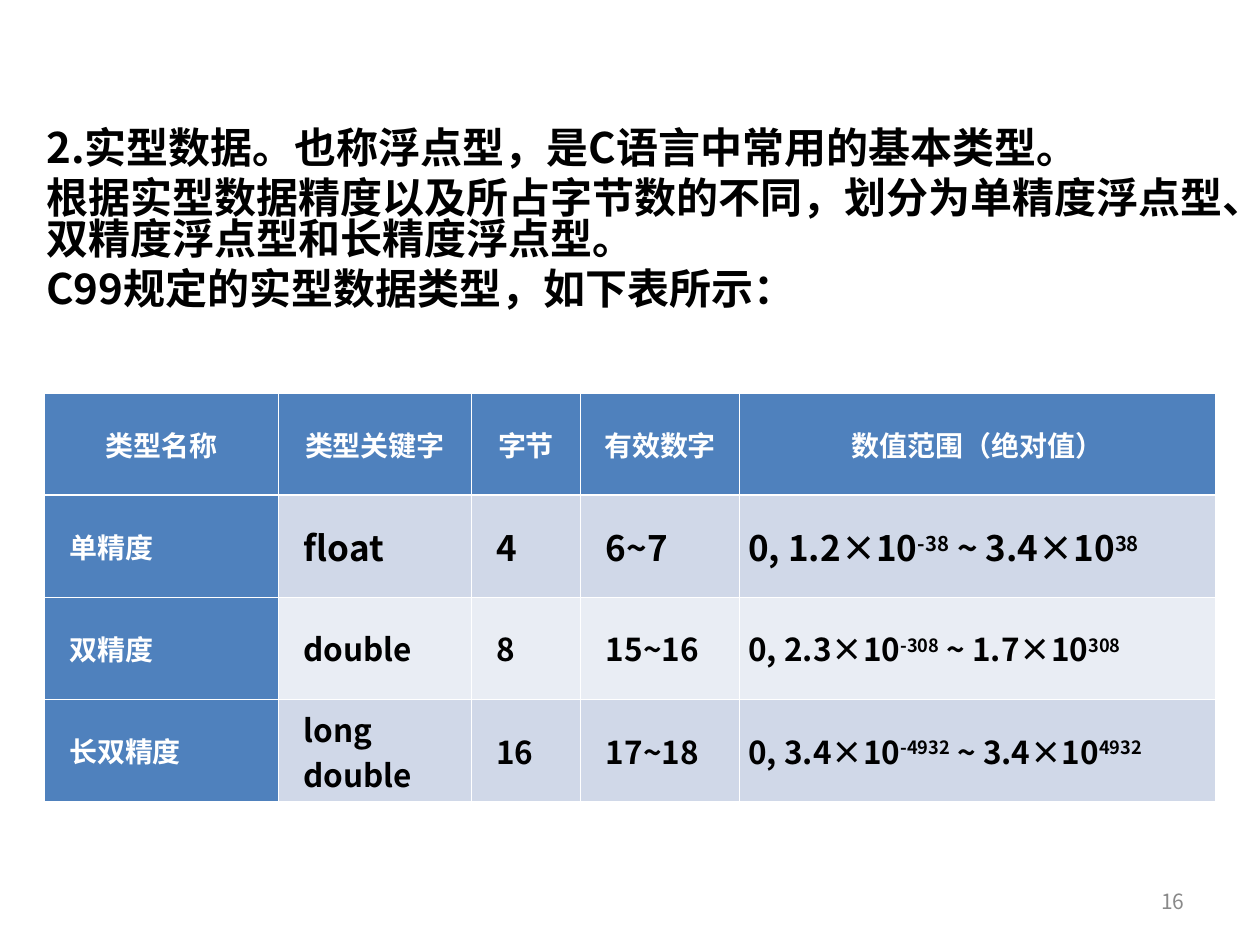
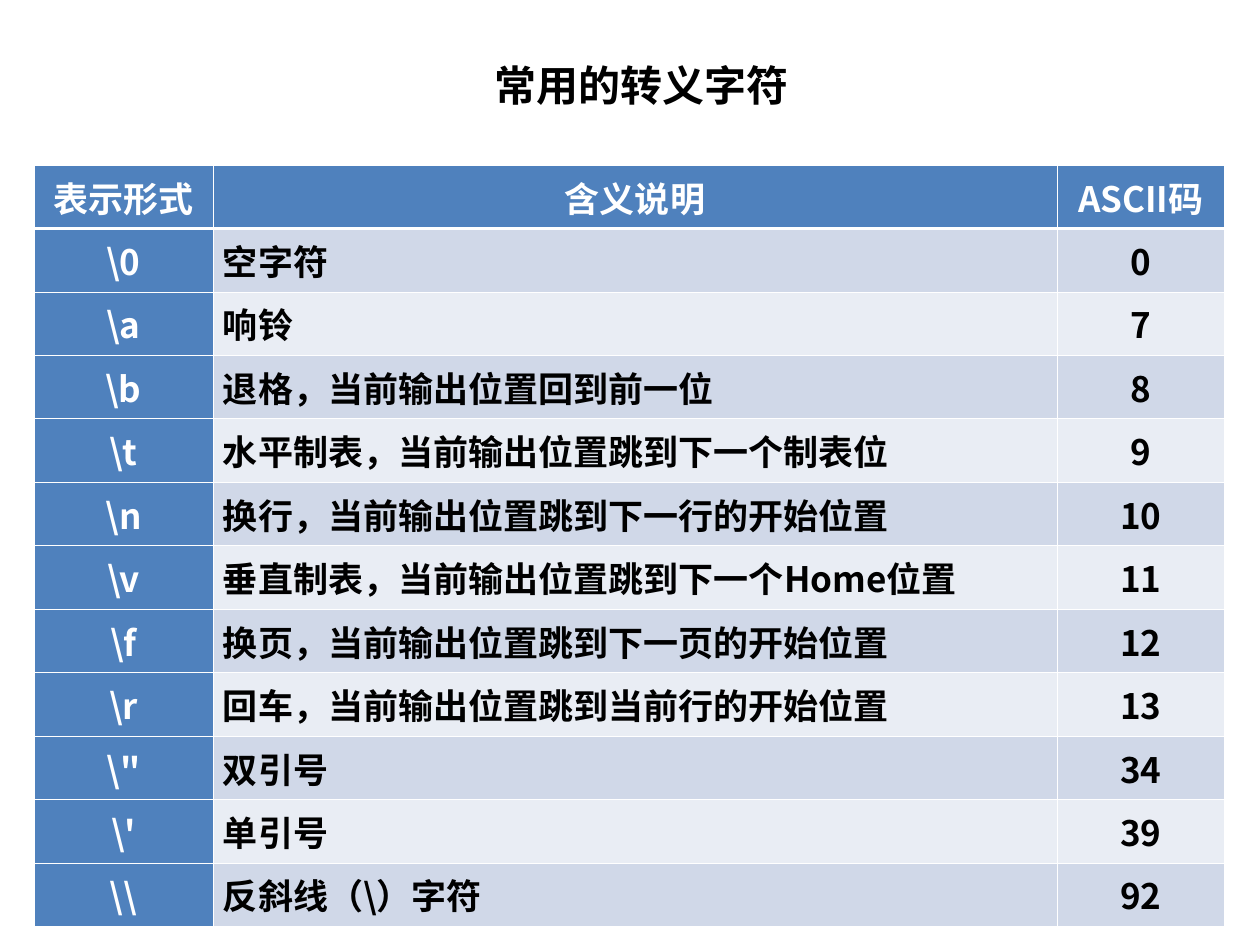
from lxml.etree import SubElement
from pptx import Presentation
from pptx.dml.color import RGBColor
from pptx.enum.text import MSO_ANCHOR as Anchor, MSO_AUTO_SIZE as AutoSize, PP_ALIGN as Align
from pptx.oxml.ns import qn
from pptx.util import Inches, Pt

# Shared look
FONT, NUMBER_FONT = "Noto Sans CJK SC", "Noto Sans CJK JP"
BLACK, WHITE, GREY = "000000", "FFFFFF", "898989"
HEADER, BANDS = "4F81BD", ("D0D8E8", "E9EDF4")
THIN, THICK = Pt(0.45), Pt(1.47)


def rgb(code):
    return RGBColor.from_string(code)


def write(para, text, size=24, color=BLACK, bold=True, font=FONT, align=Align.LEFT):
    """Fill a paragraph; every second part between ^ marks is superscript."""
    para.alignment = align
    for index, part in enumerate(text.split("^")):
        span = para.add_run()
        span.text = part
        span.font.size, span.font.bold, span.font.name = Pt(size), bold, font
        span.font.color.rgb = rgb(color)
        properties = span._r.get_or_add_rPr()
        SubElement(properties, qn("a:ea")).set("typeface", font)
        if index % 2:
            properties.set("baseline", "30000")


deck = Presentation()
deck.slide_width, deck.slide_height = Inches(10), Inches(7.5)
types_page = deck.slides.add_slide(deck.slide_layouts[6])
escapes_page = deck.slides.add_slide(deck.slide_layouts[5])

# Introduction to floating-point data
intro = types_page.shapes.add_textbox(Inches(0.27), Inches(0.99), Inches(9.73), Inches(1.97))
frame = intro.text_frame
frame.word_wrap = True
frame.auto_size = AutoSize.TEXT_TO_FIT_SHAPE
sentences = [
    "2.实型数据。也称浮点型，是C语言中常用的基本类型。",
    "根据实型数据精度以及所占字节数的不同，划分为单精度浮点型、双精度浮点型和长精度浮点型。",
    "C99规定的实型数据类型，如下表所示：",
]
for index, sentence in enumerate(sentences):
    para = frame.add_paragraph() if index else frame.paragraphs[0]
    para.line_spacing = 0.9
    para.space_before = Pt(6 if index else 0)
    write(para, sentence)

# Page number
number = types_page.shapes.add_textbox(Inches(7.17), Inches(6.95), Inches(2.33), Inches(0.4))
number.text_frame.word_wrap = True
number.text_frame.vertical_anchor = Anchor.MIDDLE
write(number.text_frame.paragraphs[0], "16", size=12, color=GREY, bold=False,
      font=NUMBER_FONT, align=Align.RIGHT)

# Title of the escape characters
title = escapes_page.shapes.title
title.left, title.top, title.width, title.height = Inches(0.59), Inches(0.36), Inches(9), Inches(0.63)
title.text_frame.vertical_anchor = Anchor.MIDDLE
write(title.text_frame.paragraphs[0], "常用的转义字符", align=Align.CENTER)

# Table contents
type_rows = [
    ("类型名称", "类型关键字", "字节", "有效数字", "数值范围（绝对值）"),
    ("单精度", "float", "4", "6~7", "0, 1.2×10^-38^ ~ 3.4×10^38"),
    ("双精度", "double", "8", "15~16", "0, 2.3×10^-308^ ~ 1.7×10^308"),
    ("长双精度", "long double", "16", "17~18", "0, 3.4×10^-4932^ ~ 3.4×10^4932"),
]
escape_rows = [
    ("表示形式", "含义说明", "ASCII码"),
    ("\\0", "空字符", "0"),
    ("\\a", "响铃", "7"),
    ("\\b", "退格，当前输出位置回到前一位", "8"),
    ("\\t", "水平制表，当前输出位置跳到下一个制表位", "9"),
    ("\\n", "换行，当前输出位置跳到下一行的开始位置", "10"),
    ("\\v", "垂直制表，当前输出位置跳到下一个Home位置", "11"),
    ("\\f", "换页，当前输出位置跳到下一页的开始位置", "12"),
    ("\\r", "回车，当前输出位置跳到当前行的开始位置", "13"),
    ("\\\"", "双引号", "34"),
    ("\\'", "单引号", "39"),
    ("\\\\", "反斜线（\\）字符", "92"),
]
left, center, justify = Align.LEFT, Align.CENTER, Align.JUSTIFY
tables = [
    dict(page=types_page, rows=type_rows, at=(0.35, 3.12), widths=(1.86, 1.53, 0.87, 1.26, 3.78),
         height=0.81, anchor=Anchor.MIDDLE, margin=0.07, indents=(0.2, 0.2, 0.2, 0.2, 0.07),
         aligns=[left] * 5, label_size=16, sizes=(20, 18, 18)),
    dict(page=escapes_page, rows=escape_rows, at=(0.27, 1.31), widths=(1.42, 6.7, 1.33),
         height=0.39, anchor=Anchor.TOP, margin=0.08, indents=[0.08] * 3,
         aligns=(center, justify, center), label_size=20, sizes=[20] * 11),
]

# Both tables: blue header row and first column, banded body, white rules
for plan in tables:
    rows, widths = plan["rows"], plan["widths"]
    x, y = plan["at"]
    table = plan["page"].shapes.add_table(
        len(rows), len(widths), Inches(x), Inches(y),
        Inches(sum(widths)), Inches(plan["height"] * len(rows))).table
    for column, width in zip(table.columns, widths):
        column.width = Inches(width)
    for r, texts in enumerate(rows):
        table.rows[r].height = Inches(plan["height"])
        for c, text in enumerate(texts):
            cell = table.cell(r, c)
            is_label = r == 0 or c == 0
            cell.vertical_anchor = plan["anchor"]
            cell.margin_left = Inches(plan["indents"][c] if r else plan["margin"])
            cell.margin_right = Inches(plan["margin"])
            cell.margin_top = cell.margin_bottom = Inches(0.05)
            for side in "LRTB":
                thick = (r, side) in ((0, "B"), (1, "T"))
                border = SubElement(cell._tc.get_or_add_tcPr(), qn("a:ln" + side),
                                    w=str(THICK if thick else THIN))
                SubElement(SubElement(border, qn("a:solidFill")), qn("a:srgbClr"), val=WHITE)
            cell.fill.solid()
            cell.fill.fore_color.rgb = rgb(HEADER if is_label else BANDS[(r - 1) % 2])
            write(cell.text_frame.paragraphs[0], text,
                  size=plan["label_size"] if is_label else plan["sizes"][r - 1],
                  color=WHITE if is_label else BLACK,
                  align=plan["aligns"][c] if r else center)

deck.save("out.pptx")
